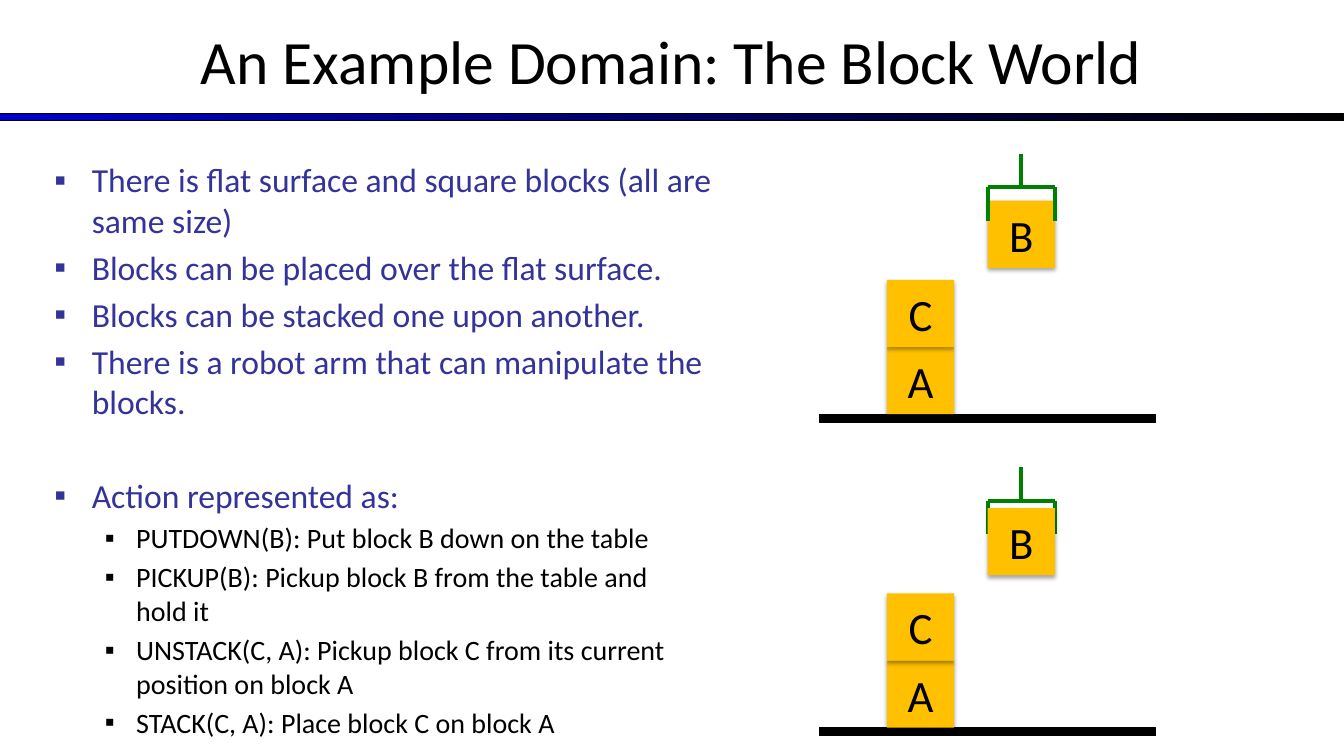
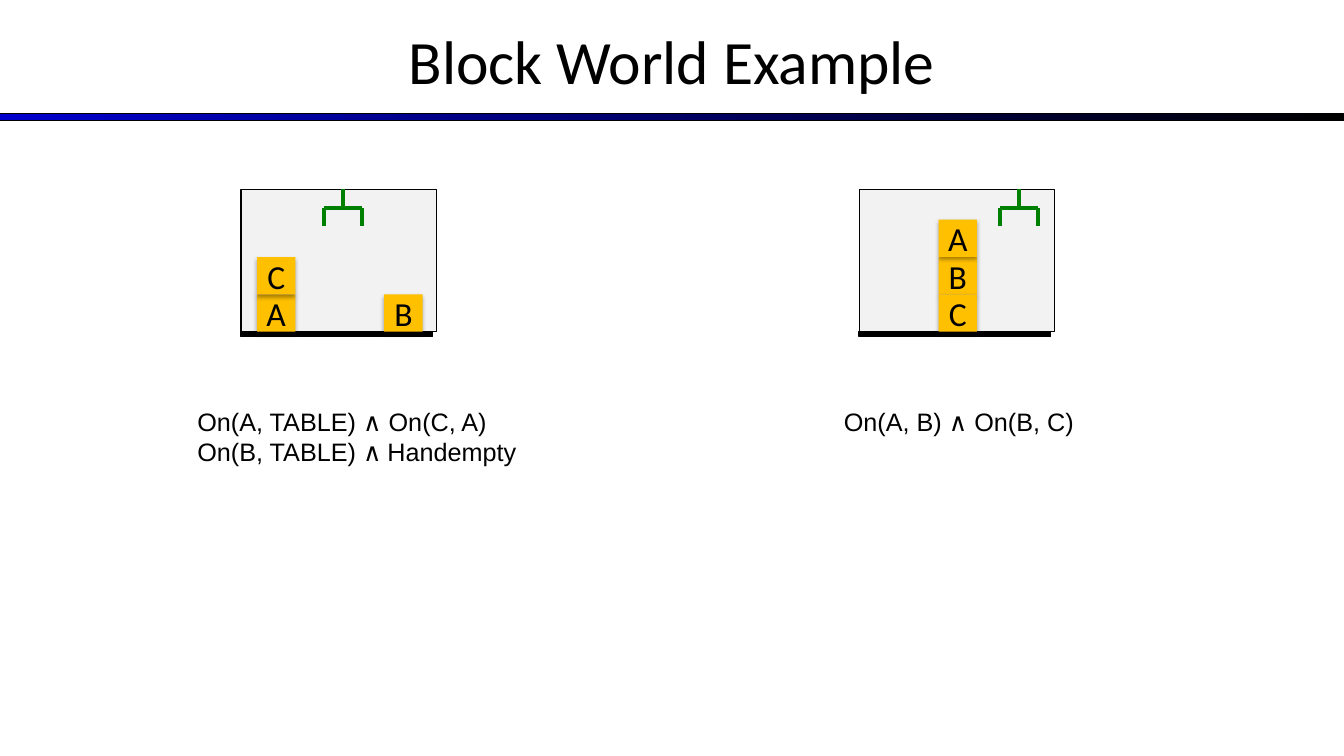
"""Build two slides on the block world domain."""
from lxml import etree
from pptx import Presentation
from pptx.dml.color import RGBColor
from pptx.enum.shapes import MSO_CONNECTOR, MSO_SHAPE
from pptx.enum.text import MSO_ANCHOR, MSO_AUTO_SIZE, PP_ALIGN
from pptx.oxml.ns import qn
from pptx.util import Inches, Pt

RECTANGLE, STRAIGHT = MSO_SHAPE.RECTANGLE, MSO_CONNECTOR.STRAIGHT
LEFT, CENTER, MIDDLE = PP_ALIGN.LEFT, PP_ALIGN.CENTER, MSO_ANCHOR.MIDDLE
NO_FIT = MSO_AUTO_SIZE.NONE
BLACK, INDIGO, BLUE = "000000", "333399", "0000CC"
AMBER, GREEN, PALE = "FFC000", "008000", "F2F2F2"
WIDTH, HEIGHT = 13.33, 7.5
UNIT = WIDTH / 20


def style_font(font, size, hue=BLACK, face="Calibri"):
    font.name, font.size = face, Pt(size)
    font.color.rgb = RGBColor.from_string(hue)


def add_rect(slide, x, y, width, height, fill, outlined=True):
    rect = slide.shapes.add_shape(RECTANGLE, Inches(x), Inches(y), Inches(width), Inches(height))
    rect.shadow.inherit = False
    rect.fill.solid()
    rect.fill.fore_color.rgb = RGBColor.from_string(fill)
    if outlined:
        rect.line.color.rgb = RGBColor.from_string(BLACK)
        rect.line.width = Pt(0.75)
    else:
        rect.line.fill.background()
    return rect


prs = Presentation()
prs.slide_width, prs.slide_height = Inches(WIDTH), Inches(HEIGHT)
master = prs.slide_master
master_title = master.placeholders[0]
master_title.left, master_title.top = 0, Inches(-0.03)
master_title.width, master_title.height = Inches(WIDTH), Inches(HEIGHT / 6)

domain = prs.slides.add_slide(prs.slide_layouts[3])
example = prs.slides.add_slide(prs.slide_layouts[5])

band = add_rect(domain, 0, 1.13, WIDTH, 0.07, BLUE)
band.fill.gradient()
band.fill.gradient_angle = 0
for stop, hue in zip(band.fill.gradient_stops, (BLUE, BLACK)):
    stop.color.rgb = RGBColor.from_string(hue)
master.element.cSld.spTree.append(band.element)

for slide, heading in ((domain, "An Example Domain: The Block World"),
                       (example, "Block World Example")):
    title_frame = slide.shapes.title.text_frame
    title_frame.text = heading
    title_frame.auto_size = NO_FIT
    style_font(title_frame.paragraphs[0].runs[0].font, 44)

LEVELS = ((0.37, -0.37, 24, INDIGO), (0.81, -0.31, 20, BLACK))
lists = (
    (1, 1.53, 7.14, 2.82, (
        (0, "There is flat surface and square blocks (all are same size)"),
        (0, "Blocks can be placed over the flat surface."),
        (0, "Blocks can be stacked one upon another."),
        (0, "There is a robot arm that can manipulate the blocks."))),
    (2, 4.66, 6.34, 2.48, (
        (0, "Action represented as:"),
        (1, "PUTDOWN(B): Put block B down on the table"),
        (1, "PICKUP(B): Pickup block B from the table and hold it"),
        (1, "UNSTACK(C, A): Pickup block C from its current position on block A"),
        (1, "STACK(C, A): Place block C on block A"))),
)
for index, top, width, height, items in lists:
    body = domain.placeholders[index]
    body.left, body.top = Inches(0.44), Inches(top)
    body.width, body.height = Inches(width), Inches(height)
    body.text_frame.text = "\n".join(text for _, text in items)
    body.text_frame.auto_size = NO_FIT
    for paragraph, (level, _) in zip(body.text_frame.paragraphs, items):
        margin, indent, size, hue = LEVELS[level]
        paragraph.level = level
        properties = paragraph._p.get_or_add_pPr()
        properties.set("marL", str(Inches(margin)))
        properties.set("indent", str(Inches(indent)))
        etree.SubElement(properties, qn("a:buFont"), typeface="Arial")
        etree.SubElement(properties, qn("a:buChar"), char="▪")
        style_font(paragraph.runs[0].font, size, hue)
    body.text_frame.paragraphs[0].space_before = Pt(0)

ARM = "arm"
scenes = (
    (domain, 8.13, 4.11, UNIT, UNIT, 0.08, 32, False,
     (("A", 1, 1), ("B", 2.5, 3.18), ("C", 1, 2), (ARM, 2.5, 3.38))),
    (domain, 8.13, 7.22, UNIT, UNIT, 0.08, 32, False,
     (("A", 1, 1), ("C", 1, 2), (ARM, 2.5, 3.38), ("B", 2.5, 3.27))),
    (example, 2.39, 3.29, 0.38, 0.37, 0.05, 24, True,
     (("A", 0.42, 1), ("B", 3.74, 1), ("C", 0.42, 2), (ARM, 2.16, 3.32))),
    (example, 8.52, 3.29, 0.38, 0.37, 0.05, 24, True,
     (("B", 2.08, 2), ("C", 2.08, 1), (ARM, 3.68, 3.32), ("A", 2.08, 3))),
)
ARM_PARTS = ((0, 0, 1, 0), (0, 0, 0, 0.5), (0.5, -0.5, 0.5, 0), (1, 0, 1, 0.5))
for slide, left, ground, column, row, thickness, size, has_room, pieces in scenes:
    if has_room:
        add_rect(slide, left, ground - 3.8 * row, 5.1 * column, 3.8 * row, PALE)
    add_rect(slide, left, ground, 5 * column, thickness, BLACK)
    for piece, across, up in pieces:
        x, y = left + across * column, ground - up * row
        if piece == ARM:
            for x1, y1, x2, y2 in ARM_PARTS:
                rod = slide.shapes.add_connector(
                    STRAIGHT, Inches(x + x1 * column), Inches(y + y1 * row),
                    Inches(x + x2 * column), Inches(y + y2 * row))
                rod.line.color.rgb = RGBColor.from_string(GREEN)
                rod.line.width = Pt(3)
                etree.SubElement(rod.element.spPr, qn("a:effectLst"))
            continue
        block = add_rect(slide, x, y, column, row, AMBER, outlined=False)
        shadow = etree.SubElement(
            block.element.spPr.find(qn("a:effectLst")), qn("a:outerShdw"),
            blurRad=str(Pt(3.1)), dist=str(Pt(1.8)), dir="5400000", rotWithShape="0")
        shade = etree.SubElement(shadow, qn("a:srgbClr"), val=BLACK)
        etree.SubElement(shade, qn("a:alpha"), val="35000")
        label = block.text_frame
        label.text = piece
        label.word_wrap = False
        label.vertical_anchor = MIDDLE
        label.paragraphs[0].alignment = CENTER
        style_font(label.paragraphs[0].runs[0].font, size)

states = (
    (1.86, 0.71, LEFT, (("On(A, TABLE) ", "∧", " On(C, A)"),
                        ("On(B, TABLE) ", "∧ ", "Handempty"))),
    (7.73, 0.4, CENTER, (("On(A, B) ", "∧", " On(B, C)"),)),
)
for left, height, alignment, formulas in states:
    state = example.shapes.add_textbox(Inches(left), Inches(3.98), Inches(3.56), Inches(height))
    state.text_frame.word_wrap = True
    for number, formula in enumerate(formulas):
        frame = state.text_frame
        paragraph = frame.add_paragraph() if number else frame.paragraphs[0]
        paragraph.alignment = alignment
        for term, face in zip(formula, ("Arial", "Calibri", "Arial")):
            run = paragraph.add_run()
            run.text = term
            style_font(run.font, 18, face=face)

prs.save("out.pptx")
